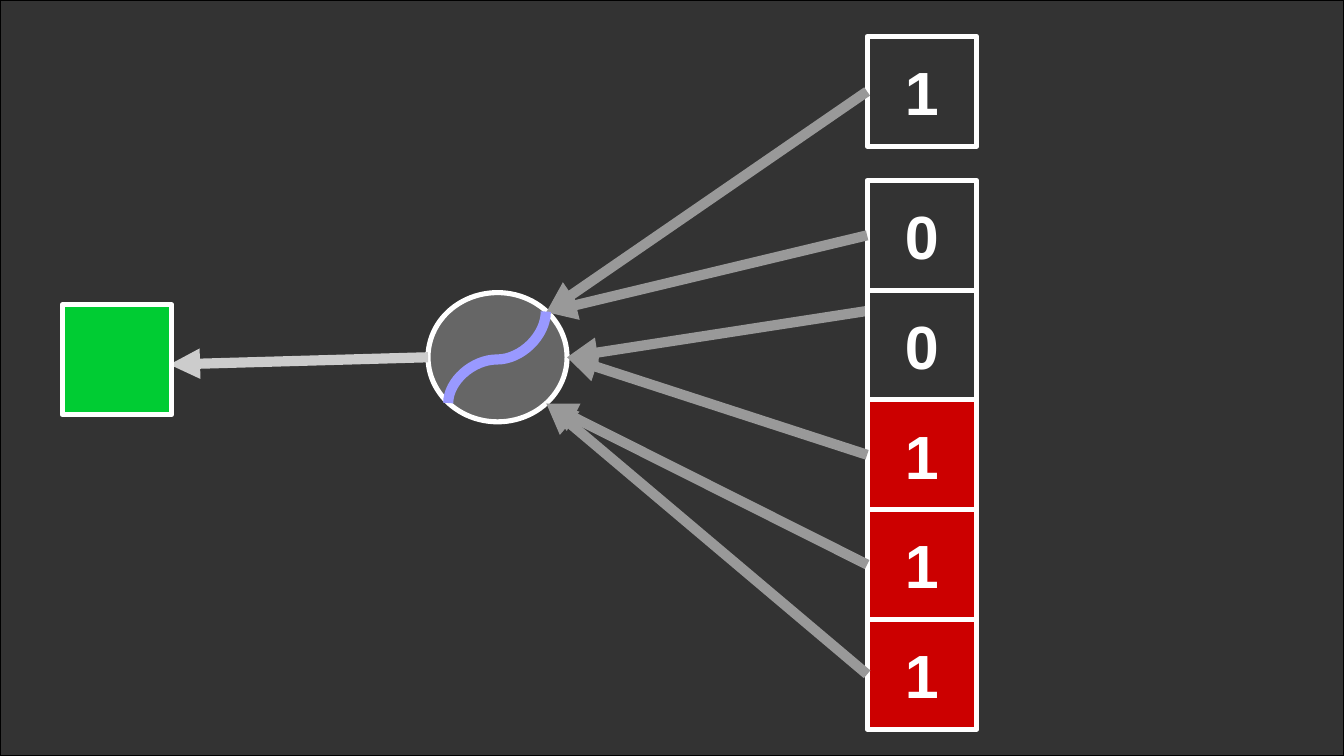
import lxml.etree
import pptx
import pptx.util
import pptx.dml.color
import pptx.enum.shapes
import pptx.enum.text
import pptx.oxml.ns

Inches, Pt = pptx.util.Inches, pptx.util.Pt
Shape = pptx.enum.shapes.MSO_SHAPE
Link = pptx.enum.shapes.MSO_CONNECTOR
qn = pptx.oxml.ns.qn

COLORS = {"dark": "333333", "black": "000000", "white": "FFFFFF",
          "gray": "666666", "arrow": "999999", "pale": "CCCCCC",
          "red": "CC0000", "green": "00CC33", "curve": "9999FF"}


def hue(name):
    return pptx.dml.color.RGBColor.from_string(COLORS[name])


def child(parent, tag, **attrs):
    lxml.etree.SubElement(parent, qn(tag), attrs)


class Style:
    font, size = "Arial", 36
    edge, stroke = 3, 6

    def __init__(self, slide):
        self.slide = slide

    def box(self, kind, x, y, w, h, fill, line="white", width=edge):
        shape = self.slide.shapes.add_shape(
            kind, Inches(x), Inches(y), Inches(w), Inches(h))
        shape.shadow.inherit = False
        shape.fill.solid()
        shape.fill.fore_color.rgb = hue(fill)
        shape.line.color.rgb = hue(line)
        shape.line.width = Pt(width)
        return shape

    def cell(self, x, y, side, fill, text):
        frame = self.box(Shape.RECTANGLE, x, y, side, side, fill).text_frame
        frame.word_wrap = False
        frame.vertical_anchor = pptx.enum.text.MSO_ANCHOR.MIDDLE
        frame.margin_left = frame.margin_right = Inches(0.12)
        frame.margin_top = frame.margin_bottom = Inches(0.07)
        para = frame.paragraphs[0]
        para.text = text
        para.alignment = pptx.enum.text.PP_ALIGN.CENTER
        para.font.name, para.font.size = self.font, Pt(self.size)
        para.font.bold = True
        para.font.color.rgb = hue("white")

    def link(self, start, end, color, kind=Link.STRAIGHT):
        line = self.slide.shapes.add_connector(
            kind, *(Inches(v) for v in (*start, *end)))
        line.line.color.rgb = hue(color)
        line.line.width = Pt(self.stroke)
        child(line._element.spPr, "a:effectLst")
        return line

    def arrow(self, start, end, color):
        props = self.link(start, end, color)._element.spPr
        child(props.find(qn("a:ln")), "a:tailEnd", type="triangle")

    def curve(self, start, end, color, bend):
        """Draw an S curve turned by a quarter."""
        props = self.link(start, end, color, Link.CURVE)._element.spPr
        props.find(qn("a:xfrm")).set("rot", "5400000")
        guides = props.find(qn("a:prstGeom")).find(qn("a:avLst"))
        child(guides, "a:gd", name="adj1", fmla=f"val {bend}")


deck = pptx.Presentation()
deck.slide_width, deck.slide_height = Inches(11.02), Inches(6.2)
pen = Style(deck.slides.add_slide(deck.slide_layouts[6]))

# Backdrop
pen.box(Shape.RECTANGLE, 0, 0, 11.02, 6.2, "dark", "black", 0)

# Neuron
pen.box(Shape.OVAL, 3.51, 2.4, 1.14, 1.06, "gray")

# Input cells: the bias stands apart above a stack of five
SIDE, LEFT, TOP = 0.9, 7.11, 1.48
cells = [(0.3, "dark", "1")]
for row, bit in enumerate("00111"):
    cells.append((TOP + row * SIDE, "red" if row > 1 else "dark", bit))
front = cells.pop(2)  # covers the start of its arrow
for y, fill, bit in cells:
    pen.cell(LEFT, y, SIDE, fill, bit)

# Arrows from the inputs to three points on the neuron
upper, middle, lower = (4.48, 2.56), (4.65, 2.93), (4.48, 3.31)
for y, port in ((1.93, upper), (2.55, middle), (3.73, middle),
                (5.53, lower), (4.63, lower), (0.75, upper)):
    pen.arrow((LEFT, y), port, "arrow")
pen.cell(LEFT, front[0], SIDE, *front[1:])

# Output and activation curve
pen.arrow((3.51, 2.93), (1.39, 2.99), "pale")
pen.curve((3.7, 2.53), (4.45, 3.33), "curve", 52400)
pen.box(Shape.RECTANGLE, 0.51, 2.5, SIDE, SIDE, "green")

deck.save("out.pptx")
